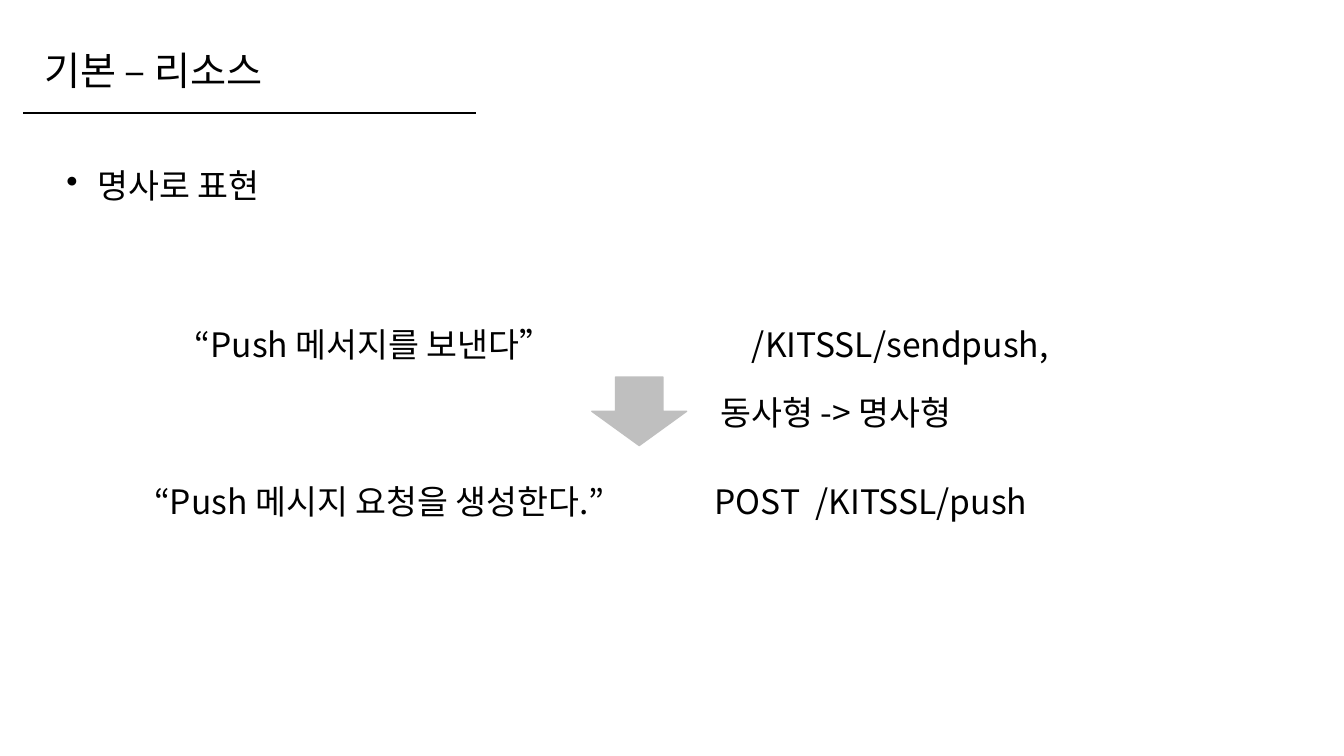
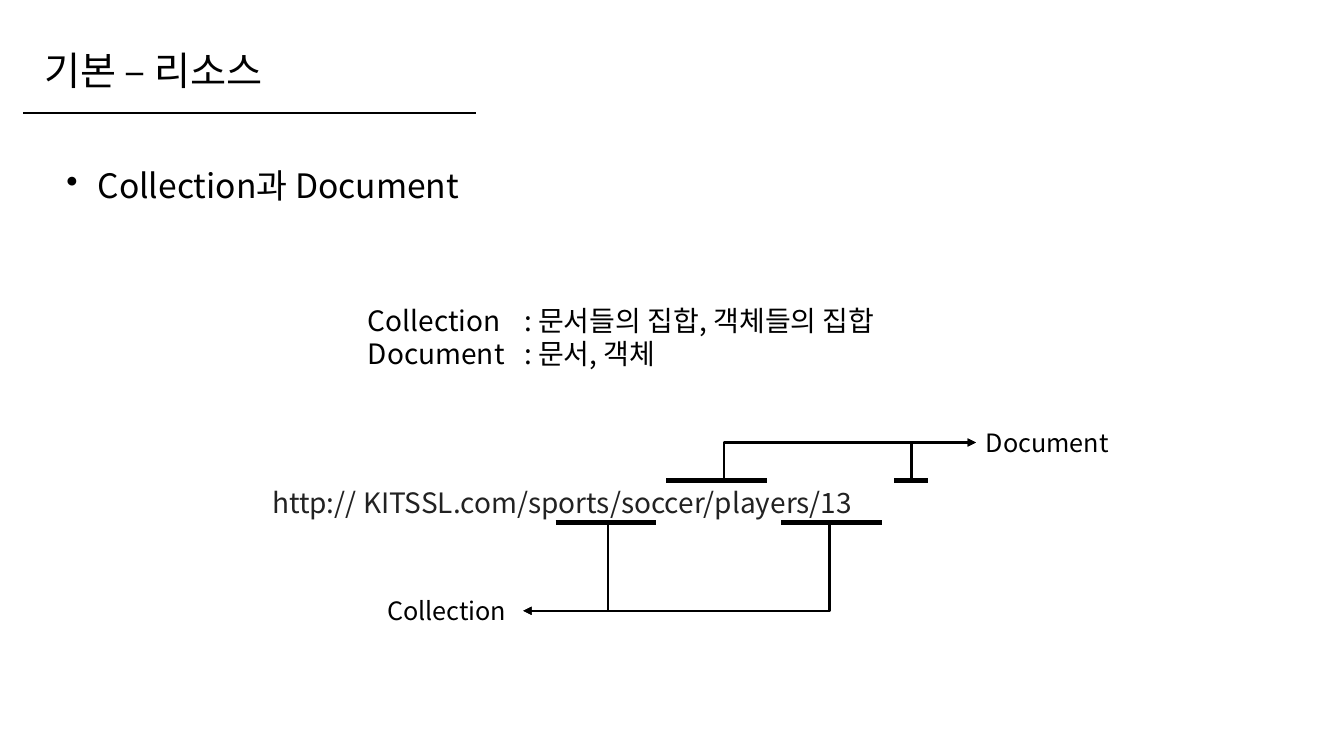
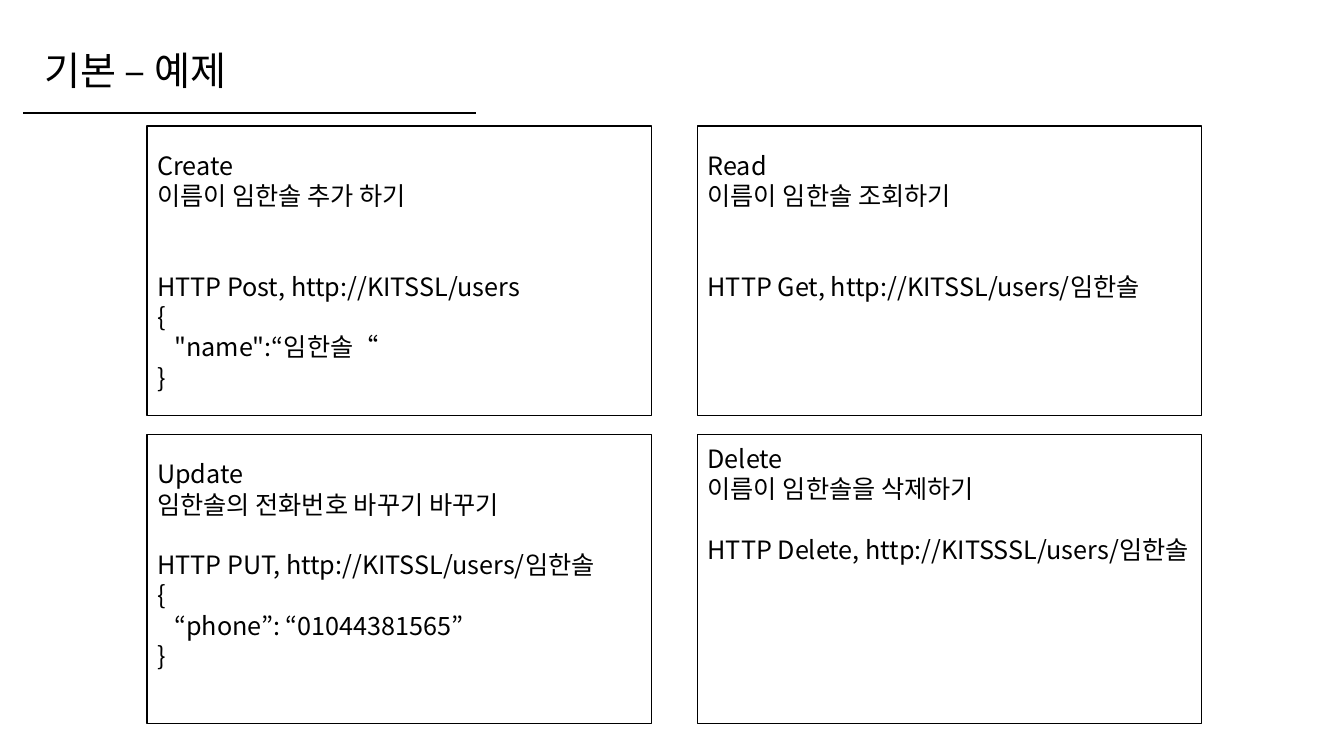
from lxml.etree import SubElement as Sub
from pptx import Presentation
from pptx.dml.color import RGBColor
from pptx.enum.shapes import MSO_CONNECTOR as Conn, MSO_SHAPE as Shape
from pptx.enum.text import MSO_ANCHOR as Anchor, PP_ALIGN as Align
from pptx.oxml.ns import qn
from pptx.util import Inches, Pt

# Shared style
FONT = "Noto Sans CJK KR"
BLACK, DARK, GRAY = "000000", "222222", "BFBFBF"
TITLE, BODY, SMALL, LABEL = 28, 24, 20, 18
PITCH = 1.2  # line height per point of text
THIN, THICK = 1.75, 3.75


def color(code):
    return RGBColor.from_string(code)


def style(para, size, code=BLACK, gap=0, indent=0):
    """Set font and spacing; gap counts free lines above."""
    para.alignment = Align.LEFT
    para.line_spacing = Pt(size * PITCH)
    para.space_before = Pt(size * PITCH * gap)
    font = para.font
    font.size = Pt(size)
    font.color.rgb = color(code)
    font.name = FONT
    props = para._p.get_or_add_pPr()
    Sub(props.find(qn("a:defRPr")), qn("a:ea"), typeface=FONT)
    if indent:
        props.set("marL", str(Inches(indent)))
    return props


def extra(props, tag, **attrs):
    """Add a paragraph property ahead of the font settings."""
    node = Sub(props, qn(tag), **attrs)
    props.find(qn("a:defRPr")).addprevious(node)
    return node


def fill(frame, lines, size, code=BLACK):
    """Write lines given as (text, gap, indent); return their properties."""
    frame.word_wrap = True
    paras = [frame.paragraphs[0]]
    paras += [frame.add_paragraph() for _ in lines[1:]]
    props = []
    for para, (text, gap, indent) in zip(paras, lines):
        para.text = text
        props.append(style(para, size, code, gap, indent))
    return props


def label(slide, x, y, w, lines, size, code=BLACK, tab=0):
    """Add a text box, with one tab stop if asked for."""
    high = len(lines) * size * PITCH / 72 + 0.1
    box = slide.shapes.add_textbox(*map(Inches, (x, y, w, high)))
    rows = fill(box.text_frame, [(text, 0, 0) for text in lines], size, code)
    if tab:
        for props in rows:
            stops = extra(props, "a:tabLst")
            Sub(stops, qn("a:tab"), pos=str(Inches(tab)), algn="l")
    return rows


def bullet(slide, text):
    props, = label(slide, 0.56, 1.59, 12.36, [text], BODY)
    props.set("marL", str(Inches(0.31)))
    props.set("indent", str(-Inches(0.31)))
    extra(props, "a:buChar", char="•")


def line(slide, x1, y1, x2, y2, width, kind=Conn.STRAIGHT):
    link = slide.shapes.add_connector(kind, *map(Inches, (x1, y1, x2, y2)))
    link.line.color.rgb = color(BLACK)
    link.line.width = Pt(width)
    Sub(link._element.spPr, qn("a:effectLst"))
    return link


def elbow(slide, x1, y1, x2, y2, stem):
    """Draw a bent arrow whose upright part stands at stem."""
    link = line(slide, x1, y1, x2, y2, THIN, Conn.ELBOW)
    Sub(link.line._get_or_add_ln(), qn("a:tailEnd"), type="triangle")
    geom = link._element.spPr.find(qn("a:prstGeom"))
    guides = geom.find(qn("a:avLst"))
    if guides is None:
        guides = Sub(geom, qn("a:avLst"))
    bend = round((stem - x1) / (x2 - x1) * 100000)
    Sub(guides, qn("a:gd"), name="adj1", fmla=f"val {bend}")


def block(slide, kind, x, y, w, h, edge, inside=None):
    shape = slide.shapes.add_shape(kind, *map(Inches, (x, y, w, h)))
    shape.shadow.inherit = False
    shape.line.color.rgb = color(edge)
    shape.line.width = Pt(1)
    if inside:
        shape.fill.solid()
        shape.fill.fore_color.rgb = color(inside)
    else:
        shape.fill.background()
    return shape


def page(deck, title):
    """Add a slide with its title and rule."""
    slide = deck.slides.add_slide(deck.slide_layouts[6])
    line(slide, 0.23, 1.12, 4.72, 1.12, 1.5)
    label(slide, 0.34, 0.41, 5, [title], TITLE)
    return slide


def nouns(deck):
    slide = page(deck, "기본 – 리소스")
    bullet(slide, "명사로 표현")
    for x, y, w, text in [
        (1.83, 3.16, 5, "“Push 메서지를 보낸다”"),
        (7.36, 3.16, 4, "/KITSSL/sendpush,"),
        (7.05, 3.84, 4, "동사형 -> 명사형"),
        (1.43, 4.72, 5.4, "“Push 메시지 요청을 생성한다.”"),
        (6.99, 4.72, 4, "POST\t/KITSSL/push"),
    ]:
        label(slide, x, y, w, [text], BODY, tab=1)
    block(slide, Shape.DOWN_ARROW, 5.87, 3.74, 0.94, 0.68, GRAY, GRAY)


def branch(slide, bars, stems, bar_y, arm_y, tip):
    """Mark parts of the address and lead them to one arrow tip."""
    for left, right in bars:
        line(slide, left, bar_y, right, bar_y, THICK)
    for start, stem in stems:
        elbow(slide, start, bar_y, tip, arm_y, stem)


def terms(deck):
    slide = page(deck, "기본 – 리소스")
    bullet(slide, "Collection과 Document")

    # Definitions with aligned colons
    defs = ["Collection\t: 문서들의 집합, 객체들의 집합", "Document\t: 문서, 객체"]
    label(slide, 3.55, 2.96, 7, defs, SMALL, tab=1.55)

    # Address and its parts
    url = "http:// KITSSL.com/sports/soccer/players/13"
    label(slide, 2.6, 4.77, 7.5, [url], SMALL, DARK)
    branch(slide, [(6.61, 7.61), (8.87, 9.2)],
           [(7.11, 7.18), (8.94, 9.04)], 4.77, 4.39, 9.68)
    branch(slide, [(5.51, 6.51), (7.75, 8.75)],
           [(6.05, 6.03), (8.25, 8.23)], 5.18, 6.06, 5.19)
    label(slide, 9.68, 4.19, 2, ["Document"], LABEL)
    label(slide, 3.74, 5.86, 1.45, ["Collection"], LABEL)


def calls(deck):
    slide = page(deck, "기본 – 예제")
    # Each card: top margin, then lines of (text, gap, indent)
    cards = [
        (0.24, [("Create", 0, 0), ("이름이 임한솔 추가 하기", 0, 0),
                ("HTTP Post, http://KITSSL/users", 2, 0), ("{", 0, 0),
                ("\"name\":“임한솔“", 0, 0.17), ("}", 0, 0)]),
        (0.24, [("Read", 0, 0), ("이름이 임한솔 조회하기", 0, 0),
                ("HTTP Get, http://KITSSL/users/임한솔", 2, 0)]),
        (0.24, [("Update", 0, 0), ("임한솔의 전화번호 바꾸기 바꾸기", 0, 0),
                ("HTTP PUT, http://KITSSL/users/임한솔", 1, 0), ("{", 0, 0),
                ("“phone”: “01044381565”", 0, 0.17), ("}", 0, 0)]),
        (0.09, [("Delete", 0, 0), ("이름이 임한솔을 삭제하기", 0, 0),
                ("HTTP Delete, http://KITSSSL/users/임한솔", 1, 0)]),
    ]
    for i, (top, lines) in enumerate(cards):
        row, col = divmod(i, 2)
        card = block(slide, Shape.RECTANGLE, 1.46 + 5.46 * col,
                     1.25 + 3.06 * row, 5, 2.87, BLACK)
        frame = card.text_frame
        frame.vertical_anchor = Anchor.TOP
        frame.margin_top = Inches(top)
        fill(frame, lines, LABEL)


def main():
    deck = Presentation()
    deck.slide_width, deck.slide_height = Inches(13.33), Inches(7.5)
    nouns(deck)
    terms(deck)
    calls(deck)
    deck.save("out.pptx")


if __name__ == "__main__":
    main()
